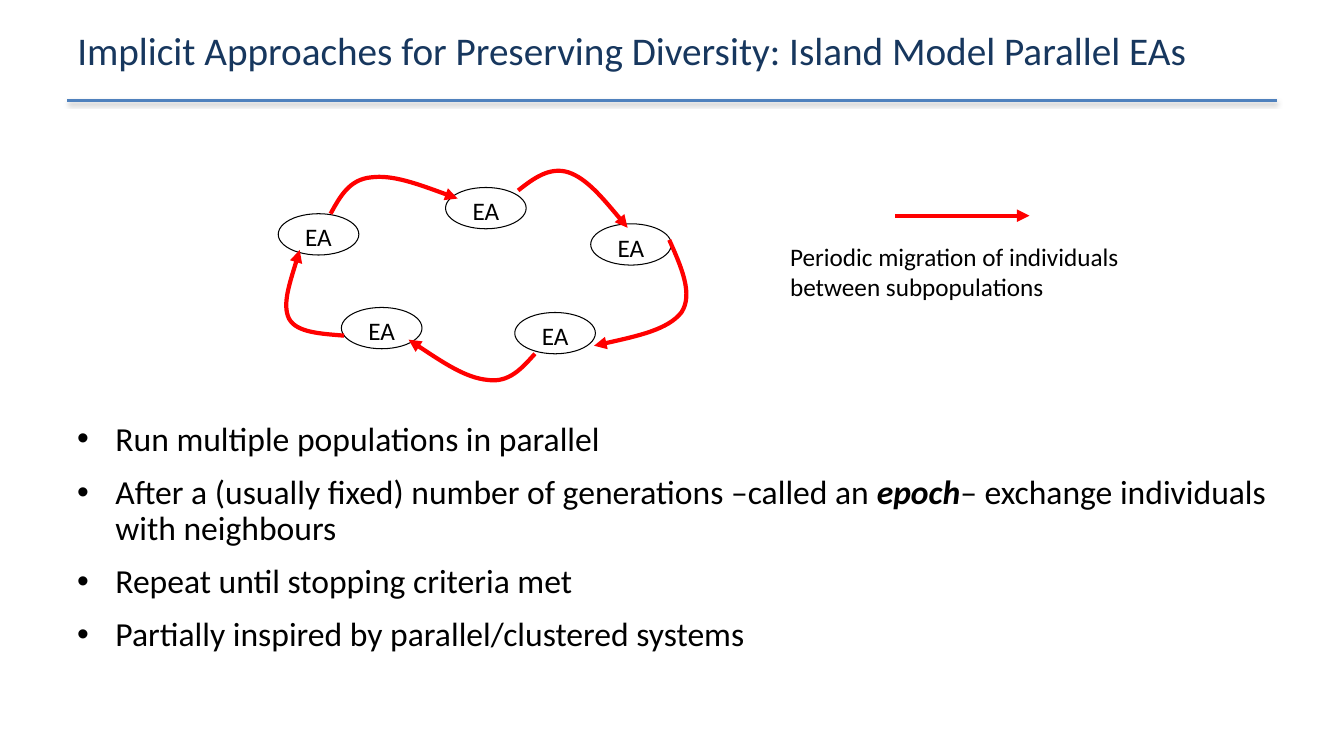
import dataclasses
import itertools

import lxml.etree as etree
import pptx
import pptx.dml.color
import pptx.enum.shapes
import pptx.enum.text
import pptx.oxml.ns
import pptx.util

qn = pptx.oxml.ns.qn
SHAPE = pptx.enum.shapes.MSO_SHAPE
ANCHOR = pptx.enum.text.MSO_ANCHOR
ALIGN = pptx.enum.text.PP_ALIGN


@dataclasses.dataclass(frozen=True)
class Theme:
    font: str = "Calibri"
    title_color: str = "17375E"
    text_color: str = "000000"
    rule_color: str = "4F81BD"
    arrow_color: str = "FF0000"
    title_size: int = 28
    body_size: int = 24
    label_size: int = 18
    outline_width: float = 0.75
    rule_width: int = 2
    arrow_width: int = 3


class SlideBuilder:
    """Places elements on a grid of 20 columns and 15 rows."""

    COLUMNS, ROWS = 20, 15

    def __init__(self, deck, theme):
        self.theme = theme
        self.slide = deck.slides.add_slide(deck.slide_layouts[5])
        self.shapes = self.slide.shapes
        self.column = deck.slide_width / self.COLUMNS
        self.row = deck.slide_height / self.ROWS

    def point(self, column, row):
        return round(column * self.column), round(row * self.row)

    def frame(self, left, top, width, height):
        return *self.point(left, top), *self.point(width, height)

    def add_span(self, para, text, size, color, emphasis=False):
        span = para.add_run()
        span.text = text
        span.font.name = self.theme.font
        span.font.size = pptx.util.Pt(size)
        span.font.color.rgb = pptx.dml.color.RGBColor.from_string(color)
        if emphasis:
            span.font.bold = span.font.italic = True

    def style_line(self, shape, color, width, arrow=False):
        shape.line.color.rgb = pptx.dml.color.RGBColor.from_string(color)
        shape.line.width = pptx.util.Pt(width)
        if arrow:
            line = shape.element.spPr.find(qn("a:ln"))
            etree.SubElement(line, qn("a:tailEnd"), type="triangle")

    def title(self, text, *grid):
        box = self.shapes.title
        box.left, box.top, box.width, box.height = self.frame(*grid)
        frame = box.text_frame
        frame.word_wrap = True
        frame.vertical_anchor = ANCHOR.MIDDLE
        frame.margin_top = frame.margin_bottom = 0
        para = frame.paragraphs[0]
        para.alignment = ALIGN.LEFT
        self.add_span(para, text, self.theme.title_size, self.theme.title_color)

    def straight(self, start, end, color, width, arrow=False):
        """Draws a line and returns its empty effect list."""
        line = self.shapes.add_connector(
            pptx.enum.shapes.MSO_CONNECTOR.STRAIGHT, *self.point(*start), *self.point(*end))
        self.style_line(line, color, width, arrow)
        return etree.SubElement(line.element.spPr, qn("a:effectLst"))

    def title_rule(self, start, end):
        effects = self.straight(start, end, self.theme.rule_color, self.theme.rule_width)
        shadow = etree.SubElement(effects, qn("a:outerShdw"), blurRad="40000",
                                  dist="20000", dir="5400000", rotWithShape="0")
        color = etree.SubElement(shadow, qn("a:srgbClr"), val="000000")
        etree.SubElement(color, qn("a:alpha"), val="38000")

    def arrow(self, start, end):
        self.straight(start, end, self.theme.arrow_color, self.theme.arrow_width, arrow=True)

    def curved_arrow(self, points):
        """Draws cubic curves: a start, then two controls and an end for each."""
        start, *rest = [self.point(*point) for point in points]
        builder = self.shapes.build_freeform(*start)
        builder.add_line_segments(rest, close=False)
        arrow = builder.convert_to_shape()
        arrow.shadow.inherit = False
        arrow.fill.background()
        outline = next(arrow.element.iter(qn("a:path")))
        segments = outline.findall(qn("a:lnTo"))
        for first in range(0, len(segments), 3):
            curve = etree.SubElement(outline, qn("a:cubicBezTo"))
            for segment in segments[first:first + 3]:
                curve.append(segment[0])
                outline.remove(segment)
        self.style_line(arrow, self.theme.arrow_color, self.theme.arrow_width, arrow=True)

    def island(self, text, *grid):
        oval = self.shapes.add_shape(SHAPE.OVAL, *self.frame(*grid))
        oval.shadow.inherit = False
        oval.fill.background()
        self.style_line(oval, self.theme.text_color, self.theme.outline_width)
        frame = oval.text_frame
        frame.word_wrap = False
        frame.vertical_anchor = ANCHOR.MIDDLE
        frame.margin_left = frame.margin_right = frame.margin_bottom = 0
        frame.margin_top = pptx.util.Inches(0.05)
        para = frame.paragraphs[0]
        para.alignment = ALIGN.CENTER
        self.add_span(para, text, self.theme.label_size, self.theme.text_color)

    def text_box(self, paragraphs, size, *grid, wrap=True):
        """Adds paragraphs, each a list of (text, emphasis) pairs."""
        frame = self.shapes.add_textbox(*self.frame(*grid)).text_frame
        frame.word_wrap = wrap
        for index, spans in enumerate(paragraphs):
            para = frame.add_paragraph() if index else frame.paragraphs[0]
            for text, emphasis in spans:
                self.add_span(para, text, size, self.theme.text_color, emphasis)
        return frame

    def caption(self, lines, *grid):
        self.text_box([[(line, False)] for line in lines],
                      self.theme.label_size, *grid, wrap=False)

    def bullets(self, items, *grid):
        frame = self.text_box(items, self.theme.body_size, *grid)
        indent = pptx.util.Inches(0.38)
        for para in frame.paragraphs:
            para.line_spacing = 0.9
            para.space_before = pptx.util.Pt(12)
            properties = para._p.get_or_add_pPr()
            properties.set("marL", str(indent))
            properties.set("indent", str(-indent))
            etree.SubElement(properties, qn("a:buFont"), typeface="Arial")
            etree.SubElement(properties, qn("a:buChar"), char="•")


ISLANDS = [(6.63, 3.72), (4.14, 4.24), (5.08, 6.1), (7.66, 6.2), (8.79, 4.44)]
ISLAND_SIZE = (1.2, 0.82)

MIGRATIONS = [
    [(4.92, 4.24), (5.06, 3.9), (5.2, 3.56), (5.52, 3.52),
     (5.84, 3.46), (6.32, 3.7), (6.81, 3.94)],
    [(7.71, 3.78), (7.94, 3.54), (8.18, 3.3), (8.46, 3.42),
     (8.73, 3.54), (9.04, 4.04), (9.34, 4.52)],
    [(9.96, 4.76), (10.14, 5.3), (10.32, 5.84), (10.14, 6.2),
     (9.94, 6.54), (9.39, 6.7), (8.84, 6.86)],
    [(5.12, 6.66), (4.77, 6.62), (4.41, 6.6), (4.3, 6.32),
     (4.2, 6.04), (4.34, 5.5), (4.46, 4.96)],
    [(7.96, 7.02), (7.77, 7.3), (7.58, 7.6), (7.26, 7.54),
     (6.93, 7.5), (6.51, 7.12), (6.08, 6.74)],
]

BULLETS = [
    [("Run multiple populations in parallel", False)],
    [("After a (usually fixed) number of generations –called an ", False),
     ("epoch", True),
     ("– exchange individuals with neighbours", False)],
    [("Repeat until stopping criteria met", False)],
    [("Partially inspired by parallel/clustered systems", False)],
]


def main():
    deck = pptx.Presentation()
    deck.slide_width = pptx.util.Inches(13.33)
    deck.slide_height = pptx.util.Inches(7.5)
    page = SlideBuilder(deck, Theme())
    page.title_rule((1, 2), (19, 2))
    page.title("Implicit Approaches for Preserving Diversity: Island Model Parallel EAs",
               1, 0.04, 18, 1.9)
    page.caption(["Periodic migration of individuals", "between subpopulations"],
                 11.61, 4.68, 5.34, 1.42)
    for corner in ISLANDS:
        page.island("EA", *itertools.chain(corner, ISLAND_SIZE))
    for points in MIGRATIONS:
        page.curved_arrow(points)
    page.arrow((13.32, 4.28), (15.32, 4.28))
    page.bullets(BULLETS, 1, 8.28, 18, 5.46)
    deck.save("out.pptx")


if __name__ == "__main__":
    main()
